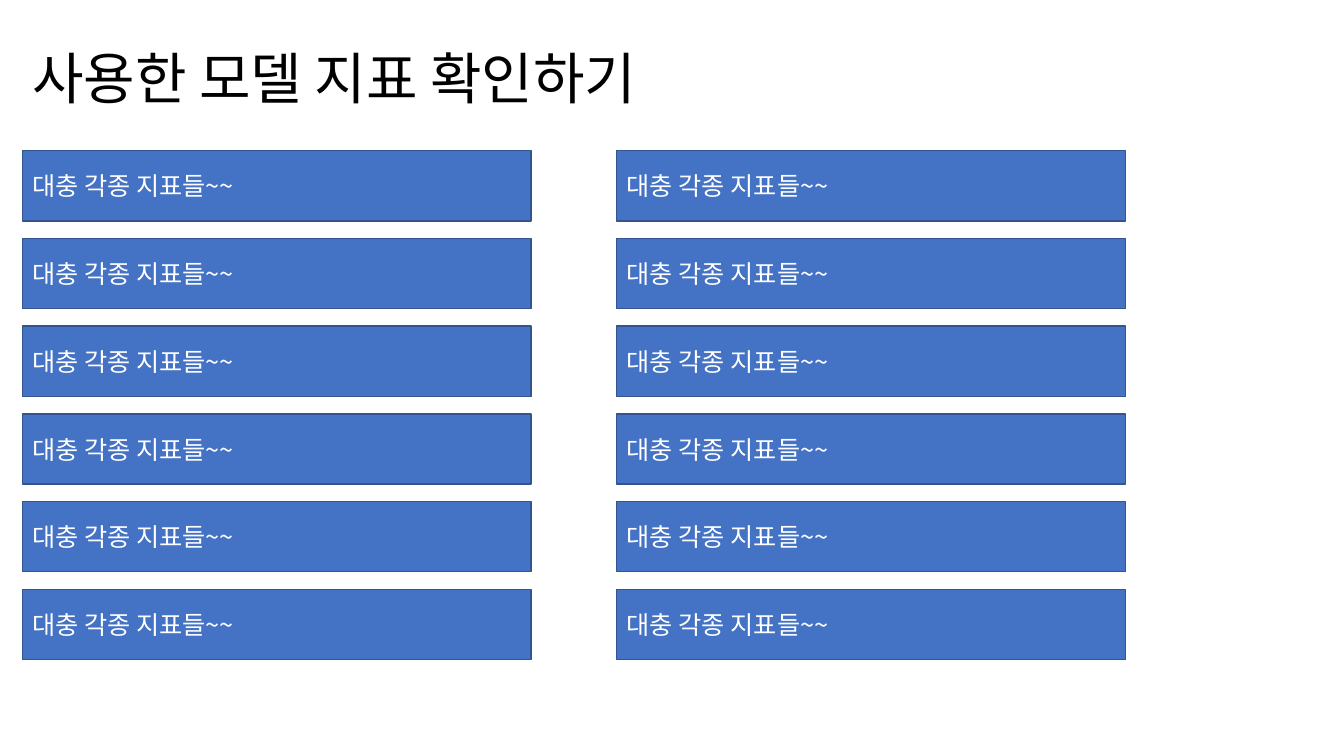
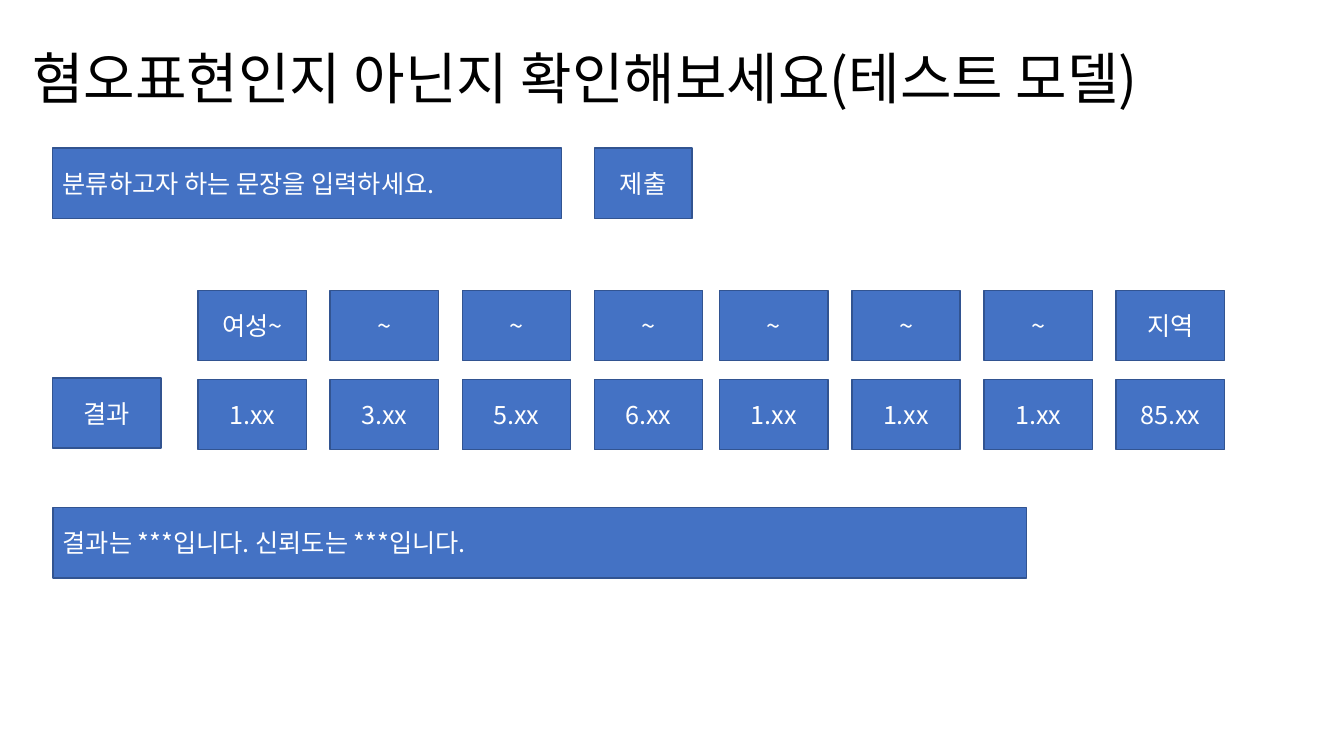
from lxml.etree import SubElement
from pptx import Presentation
from pptx.dml.color import RGBColor
from pptx.enum.shapes import MSO_SHAPE as Shape
from pptx.enum.text import MSO_ANCHOR as Anchor, MSO_AUTO_SIZE as AutoSize, PP_ALIGN as Align
from pptx.oxml.ns import qn
from pptx.util import Inches, Pt


def color(hex_text):
    return RGBColor.from_string(hex_text)


class Board:
    FONT = "Noto Sans CJK KR"
    FILL, BORDER, LIGHT, DARK = "4472C4", "325491", "FFFFFF", "000000"
    COLUMN, ROW = 1.31, 0.87
    WIDE, CELL, HIGH = 3.85, 0.82, 0.8

    def __init__(self):
        self.deck = Presentation()
        self.deck.slide_width = Inches(13.33)
        self.deck.slide_height = Inches(7.5)
        self.page = None

    def place(self, column, row, columns, rows):
        return (Inches(column * self.COLUMN), Inches(row * self.ROW),
                Inches(columns * self.COLUMN), Inches(rows * self.ROW))

    def set_text(self, box, text, size, ink, align, anchor):
        frame = box.text_frame
        frame.text = text
        frame.word_wrap = True
        frame.vertical_anchor = anchor
        for para in frame.paragraphs:
            para.alignment = align
            for span in para.runs:
                span.font.size = Pt(size)
                span.font.name = self.FONT
                span.font.color.rgb = color(ink)
                east_asian = SubElement(span._r.get_or_add_rPr(), qn("a:ea"))
                east_asian.set("typeface", self.FONT)

    def add_page(self, title):
        self.page = self.deck.slides.add_slide(self.deck.slide_layouts[5])
        box = self.page.shapes.title
        box.left, box.top, box.width, box.height = self.place(0.17, 0.44, 9.68, 0.89)
        self.set_text(box, title, 40, self.DARK, Align.LEFT, Anchor.TOP)
        box.text_frame.auto_size = AutoSize.SHAPE_TO_FIT_TEXT

    def add_box(self, text, column, row, columns, align=Align.LEFT):
        box = self.page.shapes.add_shape(
            Shape.RECTANGLE, *self.place(column, row, columns, self.HIGH))
        box.shadow.inherit = False
        box.fill.solid()
        box.fill.fore_color.rgb = color(self.FILL)
        box.line.color.rgb = color(self.BORDER)
        box.line.width = Pt(1)
        self.set_text(box, text, 18, self.LIGHT, align, Anchor.MIDDLE)

    def add_button(self, text, column, row, columns=CELL):
        self.add_box(text, column, row, columns, Align.CENTER)

    def add_cells(self, texts, row):
        for index, text in enumerate(texts):
            half, step = divmod(index, 4)
            self.add_button(text, 1.5 + half * 3.95 + step, row)


board = Board()

board.add_page("사용한 모델 지표 확인하기")
for column in (0.17, 4.67):
    for row in range(6):
        board.add_box("대충 각종 지표들~~", column, 1.72 + row, board.WIDE)

board.add_page("혐오표현인지 아닌지 확인해보세요(테스트 모델)")
board.add_box("분류하고자 하는 문장을 입력하세요.", 0.4, 1.69, board.WIDE)
board.add_button("제출", 4.5, 1.69, 0.74)
board.add_button("결과", 0.4, 4.31)
board.add_cells(["여성~"] + ["~"] * 6 + ["지역"], 3.31)
board.add_cells(["1.xx", "3.xx", "5.xx", "6.xx", "1.xx", "1.xx", "1.xx", "85.xx"], 4.33)
board.add_box("결과는 ***입니다. 신뢰도는 ***입니다.", 0.4, 5.79, 7.37)

board.deck.save("out.pptx")
